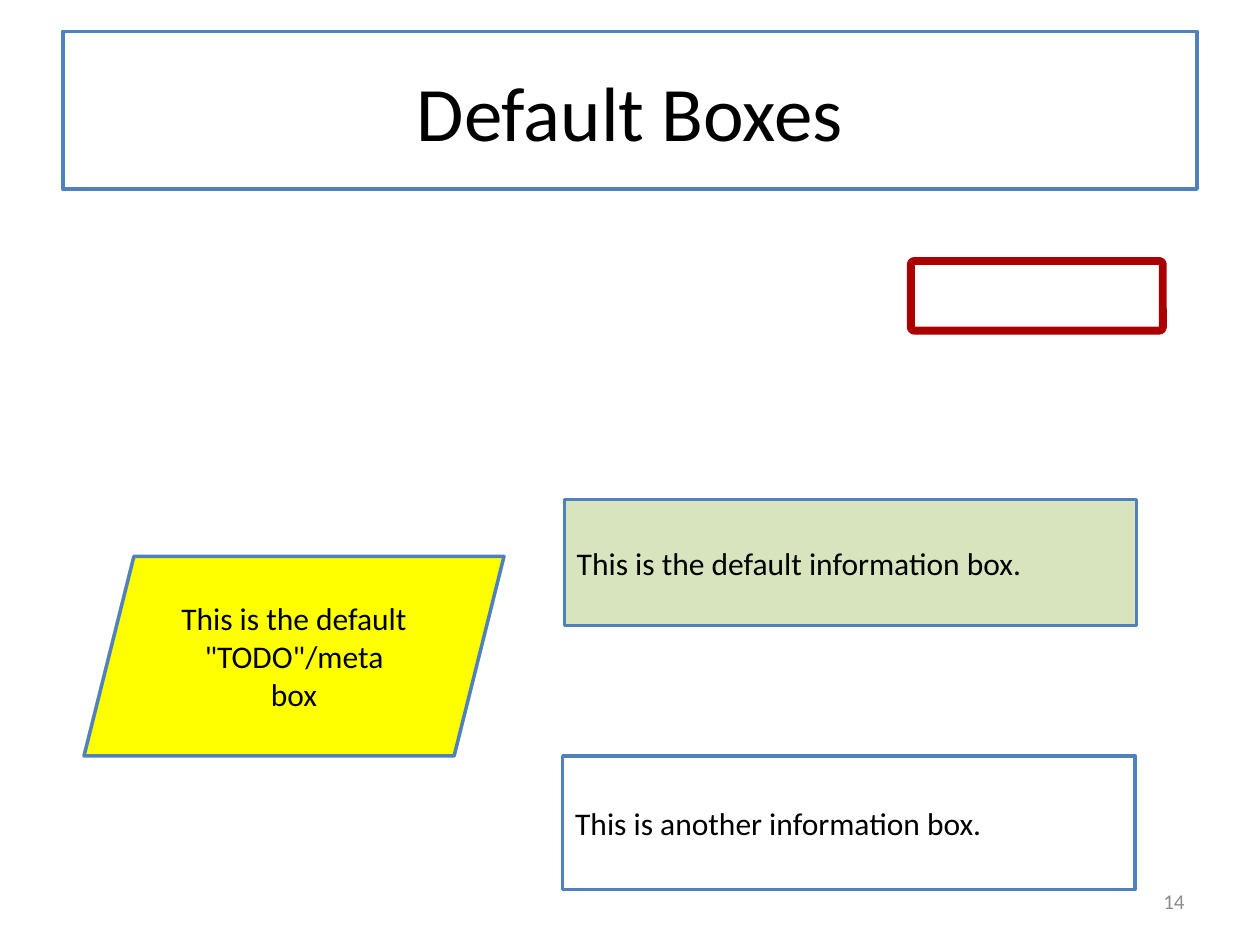
from pptx import Presentation
from pptx.dml.color import RGBColor
from pptx.enum.shapes import MSO_SHAPE as Preset
from pptx.enum.text import MSO_ANCHOR as Anchor, PP_ALIGN as Align
from pptx.util import Pt

BLUE, RED, GREEN, YELLOW = "4F81BD", "AC0000", "D7E4BD", "FFFF00"
WHITE, BLACK, GREY = "FFFFFF", "000000", "8C8C8C"


def paint(color_format, color):
    """Set a fill or font colour from a hex string."""
    color_format.rgb = RGBColor.from_string(color)


def write(shape, lines, size, align, color=BLACK):
    """Write one paragraph per line, centred vertically in the shape."""
    frame = shape.text_frame
    frame.word_wrap = True
    frame.vertical_anchor = Anchor.MIDDLE
    for index, line in enumerate(lines):
        paragraph = frame.add_paragraph() if index else frame.paragraphs[0]
        paragraph.alignment = align
        run = paragraph.add_run()
        run.text = line
        run.font.name = "Calibri"
        run.font.size = Pt(size)
        paint(run.font.color, color)


def add_outlined(slide, preset, box, fill=None, line=BLUE, width=2):
    """Add an outlined preset shape, without fill unless one is given."""
    shape = slide.shapes.add_shape(preset, *map(Pt, box))
    shape.shadow.inherit = False
    if fill:
        shape.fill.solid()
        paint(shape.fill.fore_color, fill)
    else:
        shape.fill.background()
    paint(shape.line.color, line)
    shape.line.width = Pt(width)
    return shape


def add_title(slide, box, title):
    """Add the framed slide title."""
    frame = add_outlined(slide, Preset.RECTANGLE, box, WHITE, width=2.25)
    write(frame, [title], 44, Align.CENTER)


def add_information(slide, box, sentence, fill=None):
    """Add an information box with left-aligned text."""
    information = add_outlined(slide, Preset.RECTANGLE, box, fill)
    write(information, [sentence], 18, Align.LEFT)


def add_todo(slide, box, lines):
    """Add the slanted yellow TODO box."""
    todo = add_outlined(slide, Preset.PARALLELOGRAM, box, YELLOW)
    write(todo, lines, 18, Align.CENTER)


def add_highlight(slide, box):
    """Add the empty red highlight frame."""
    highlight = add_outlined(slide, Preset.ROUNDED_RECTANGLE, box, line=RED, width=4.5)
    highlight.adjustments[0] = 0.05


def add_page_number(slide, box, number):
    """Add the grey page number."""
    page_number = slide.shapes.add_textbox(*map(Pt, box))
    write(page_number, [number], 12, Align.RIGHT, GREY)


def main():
    """Build and save the slide."""
    deck = Presentation()
    deck.slide_width, deck.slide_height = Pt(720), Pt(540)
    slide = deck.slides.add_slide(deck.slide_layouts[6])
    add_title(slide, (36, 18, 648, 90), "Default Boxes")
    add_information(slide, (322.5, 285.6, 327, 72),
                    "This is the default information box.", GREEN)
    add_todo(slide, (48, 318, 240, 114),
             ['This is the default "TODO"/meta', "box"])
    add_highlight(slide, (520.5, 149.2, 144, 39.8))
    add_information(slide, (321.6, 432, 327, 76.3),
                    "This is another information box.")
    add_page_number(slide, (516, 500.5, 168, 28.8), "14")
    deck.save("out.pptx")


if __name__ == "__main__":
    main()
